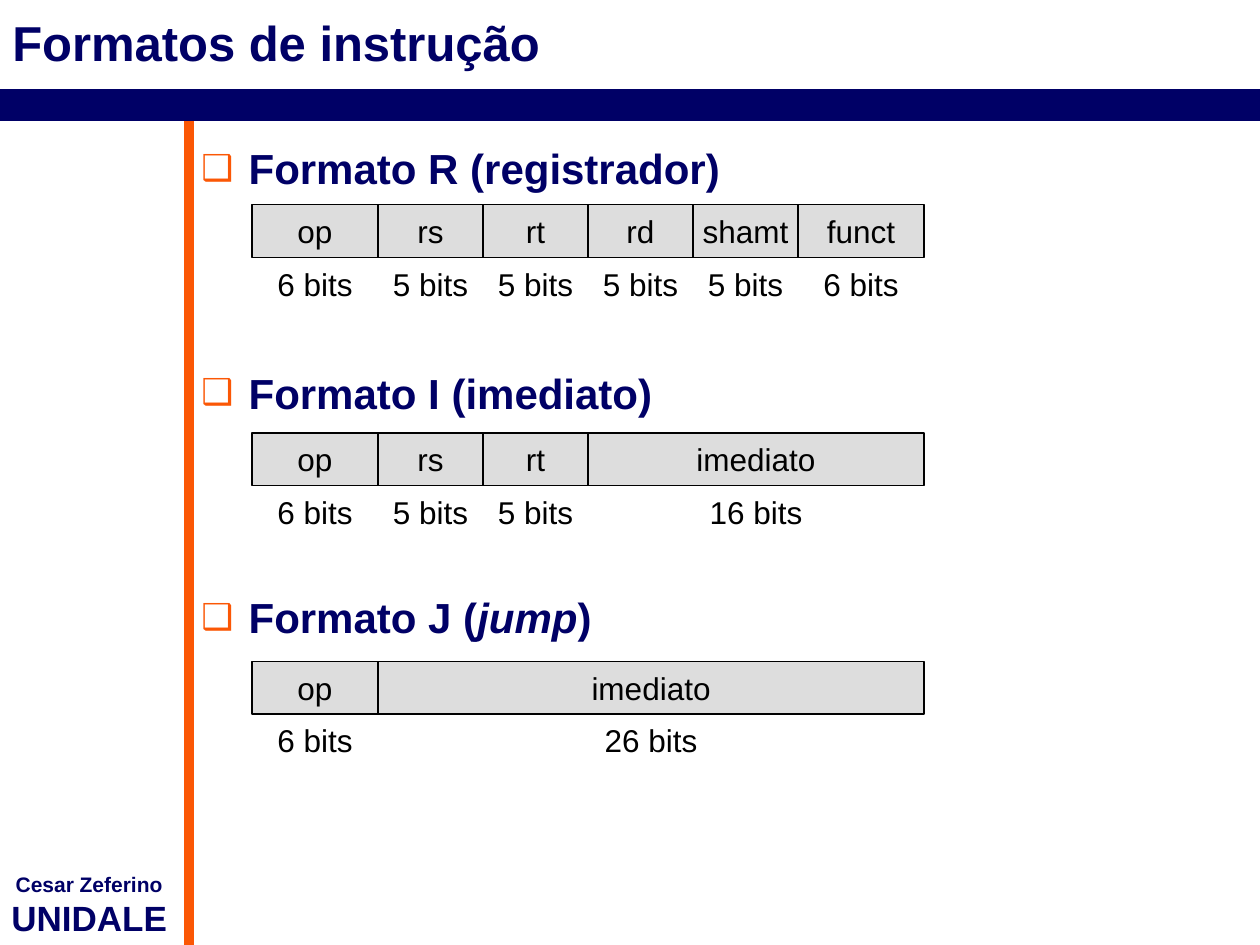
from lxml import etree
from pptx import Presentation
from pptx import util as u
from pptx.dml import color
from pptx.enum import shapes, text
from pptx.oxml import ns

Pt = u.Pt
COLORS = {"navy": "000066", "orange": "FB5705", "gray": "DDDDDD", "black": "000000"}
CENTER, LEFT = text.PP_ALIGN.CENTER, text.PP_ALIGN.LEFT
MIDDLE, TOP = text.MSO_ANCHOR.MIDDLE, text.MSO_ANCHOR.TOP


class SlideBuilder:
    font = "Arial"

    def __init__(self, slide):
        self.slide = slide

    def rgb(self, name):
        return color.RGBColor.from_string(COLORS[name])

    def line(self, x1, y1, x2, y2, name, width):
        connector = self.slide.shapes.add_connector(
            shapes.MSO_CONNECTOR.STRAIGHT, Pt(x1), Pt(y1), Pt(x2), Pt(y2))
        connector.line.color.rgb = self.rgb(name)
        connector.line.width = Pt(width)
        etree.SubElement(connector._element.spPr, ns.qn("a:effectLst"))

    def add_text(self, shape, paragraphs, name, bold=False, align=LEFT,
                 anchor=TOP, wrap=True, side=7.2):
        """Each paragraph is (size, [(words, italic), ...])."""
        frame = shape.text_frame
        frame.word_wrap = wrap
        frame.vertical_anchor = anchor
        frame.margin_left = frame.margin_right = Pt(side)
        frame.margin_top = frame.margin_bottom = Pt(3.6)
        for index, (size, runs) in enumerate(paragraphs):
            paragraph = frame.add_paragraph() if index else frame.paragraphs[0]
            paragraph.alignment = align
            for words, italic in runs:
                run = paragraph.add_run()
                run.text = words
                run.font.name = self.font
                run.font.size = Pt(size)
                run.font.bold = bold
                run.font.italic = italic
                run.font.color.rgb = self.rgb(name)
        return frame

    def label(self, left, top, width, height, paragraphs, name="black", **style):
        shape = self.slide.shapes.add_textbox(Pt(left), Pt(top), Pt(width), Pt(height))
        return self.add_text(shape, paragraphs, name, **style)

    def box(self, left, top, width, height, paragraphs, **style):
        shape = self.slide.shapes.add_shape(
            shapes.MSO_SHAPE.RECTANGLE, Pt(left), Pt(top), Pt(width), Pt(height))
        shape.shadow.inherit = False
        shape.fill.solid()
        shape.fill.fore_color.rgb = self.rgb("gray")
        shape.line.color.rgb = self.rgb("black")
        shape.line.width = Pt(0.74)
        return self.add_text(shape, paragraphs, "black", **style)

    def bullet(self, paragraph, character, name, percent, indent):
        properties = paragraph._p.get_or_add_pPr()
        properties.set("marL", str(Pt(indent)))
        properties.set("indent", str(Pt(-indent)))
        bullet_color = etree.SubElement(properties, ns.qn("a:buClr"))
        etree.SubElement(bullet_color, ns.qn("a:srgbClr"), val=COLORS[name])
        etree.SubElement(properties, ns.qn("a:buSzPct"), val=str(percent * 1000))
        etree.SubElement(properties, ns.qn("a:buFont"), typeface=self.font)
        etree.SubElement(properties, ns.qn("a:buChar"), char=character)


presentation = Presentation()
presentation.slide_width, presentation.slide_height = Pt(720), Pt(540)
builder = SlideBuilder(presentation.slides.add_slide(presentation.slide_layouts[6]))

# Frame lines, signature and title
builder.line(108, 66, 108, 540, "orange", 6)
builder.line(0, 60, 720, 60, "navy", 18)
builder.label(0, 494.5, 102, 46,
              [(12, [("Cesar Zeferino", False)]), (20, [("UNIDALE", False)])],
              "navy", bold=True, align=CENTER, side=0)
builder.label(0, 0, 720, 48, [(28, [("Formatos de instrução", False)])],
              "navy", bold=True, anchor=MIDDLE)

# Instruction formats: heading runs, then (field, bits)
FORMATS = [
    ([("Formato R (registrador)", False)],
     [("op", 6), ("rs", 5), ("rt", 5), ("rd", 5), ("shamt", 5), ("funct", 6)]),
    ([("Formato I (imediato)", False)],
     [("op", 6), ("rs", 5), ("rt", 5), ("imediato", 16)]),
    ([("Formato J (", False), ("jump", True), (")", False)],
     [("op", 6), ("imediato", 26)]),
]
BIT_WIDTH, FIELD_HEIGHT = 12, 30
FIELD_LEFT, FIELD_TOP, FORMAT_PITCH = 144, 117, 130.5

# Headings
headings = builder.label(108, 78, 612, 462, [(24, runs) for runs, _ in FORMATS],
                         "navy", bold=True)
for index, paragraph in enumerate(headings.paragraphs):
    paragraph.space_before = Pt(99.5 if index else 0)
    builder.bullet(paragraph, "❑", "orange", 85, 27)

# Fields, each as wide as its bits, with the bit count below
centered = {"align": CENTER, "anchor": MIDDLE, "wrap": False}
for row, (_, fields) in enumerate(FORMATS):
    left, top = FIELD_LEFT, FIELD_TOP + row * FORMAT_PITCH
    for field, bits in fields:
        width = bits * BIT_WIDTH
        builder.box(left, top, width, FIELD_HEIGHT, [(18, [(field, False)])], **centered)
        builder.label(left, top + FIELD_HEIGHT, width, FIELD_HEIGHT,
                      [(18, [(f"{bits} bits", False)])], **centered)
        left += width

presentation.save("out.pptx")
